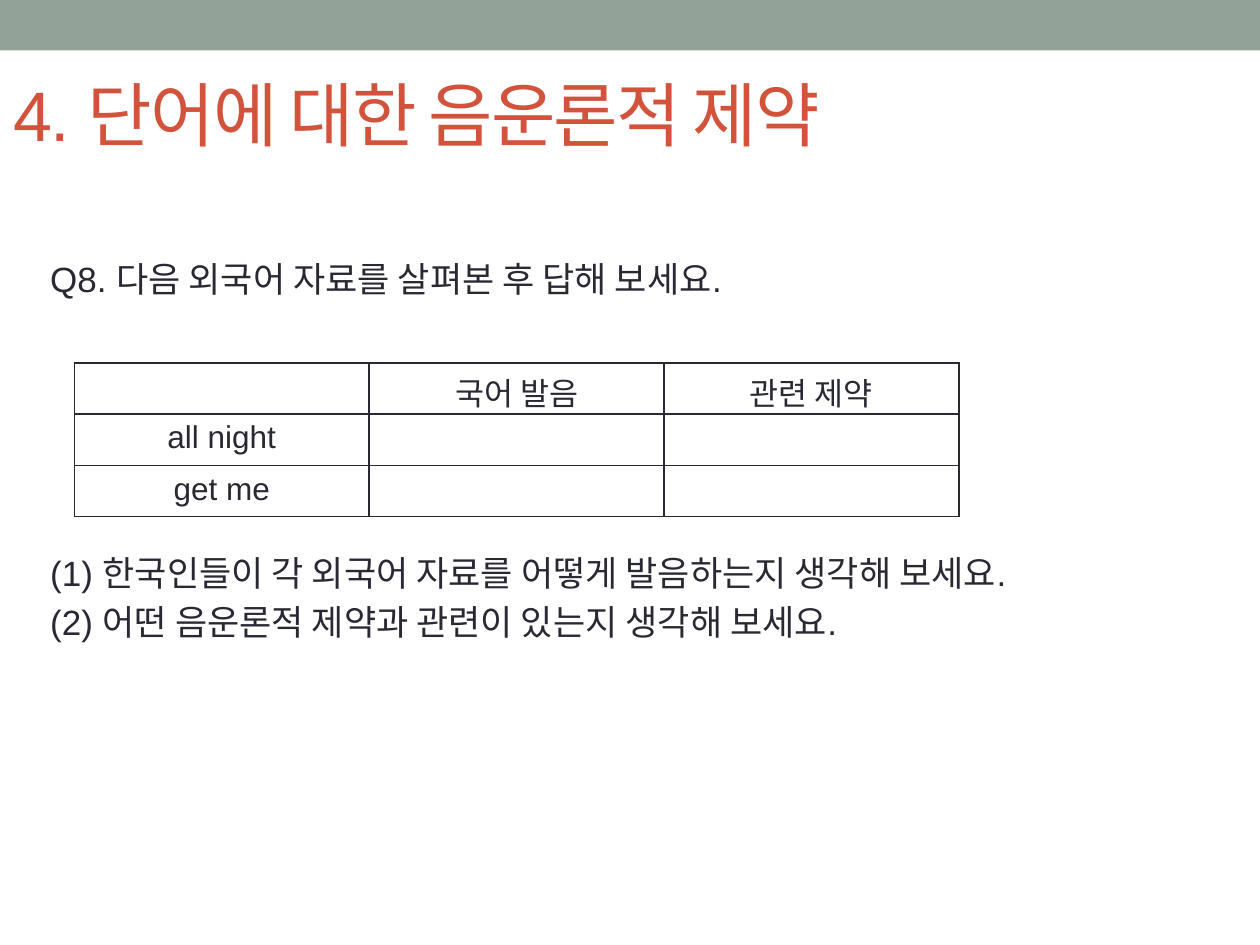
from lxml.etree import SubElement
from pptx import Presentation
from pptx.dml.color import RGBColor
from pptx.enum.shapes import MSO_SHAPE as Shape
from pptx.enum.text import MSO_ANCHOR as Anchor, PP_ALIGN as Align
from pptx.oxml.ns import qn
from pptx.util import Inches, Pt

COLORS = {"band": "93A299", "title": "D2533C", "ink": "292934"}
TITLE = "4. 단어에 대한 음운론적 제약"
QUESTION = ["Q8. 다음 외국어 자료를 살펴본 후 답해 보세요."]
TASKS = [
    "(1) 한국인들이 각 외국어 자료를 어떻게 발음하는지 생각해 보세요.",
    "(2) 어떤 음운론적 제약과 관련이 있는지 생각해 보세요.",
]
ROWS = [
    ["", "국어 발음", "관련 제약"],
    ["all night", "", ""],
    ["get me", "", ""],
]


def rgb(name):
    """Return the named colour."""
    return RGBColor.from_string(COLORS[name])


def style_font(font, size, color):
    """Apply the slide's typeface with a size and a colour."""
    for attribute, value in {"name": "Arial", "size": Pt(size)}.items():
        setattr(font, attribute, value)
    font.color.rgb = rgb(color)


def add_band(slide, left, top, width, height):
    """Draw the plain band along the top edge."""
    band = slide.shapes.add_shape(Shape.RECTANGLE, left, top, width, height)
    band.shadow.inherit = False
    band.fill.solid()
    band.fill.fore_color.rgb = rgb("band")
    band.line.fill.background()


def add_lines(slide, left, top, width, height, lines, size=20, color="ink",
              frame_format=None, line_spacing=None, tracking=None):
    """Write one paragraph per line in the given box."""
    frame = slide.shapes.add_textbox(left, top, width, height).text_frame
    for attribute, value in {"word_wrap": True, **(frame_format or {})}.items():
        setattr(frame, attribute, value)
    frame.text = "\n".join(lines)
    for paragraph in frame.paragraphs:
        paragraph.line_spacing = line_spacing
        for run in paragraph.runs:
            style_font(run.font, size, color)
            if tracking is not None:
                run.font._element.set("spc", str(tracking))


def add_borders(cell):
    """Rule all four sides of a cell."""
    properties = cell._tc.get_or_add_tcPr()
    for index, side in enumerate(("lnL", "lnR", "lnT", "lnB")):
        border = SubElement(properties, qn(f"a:{side}"), w=str(Pt(1)))
        properties.insert(index, border)
        fill = SubElement(border, qn("a:solidFill"))
        SubElement(fill, qn("a:srgbClr"), val=COLORS["ink"])


def add_sound_table(slide, left, top, width, height):
    """Build the ruled answer table with equal columns and rows."""
    table = slide.shapes.add_table(
        len(ROWS), len(ROWS[0]), left, top, width, height).table
    for option in ("first_row", "horz_banding"):
        setattr(table, option, False)
    for row, entries in enumerate(ROWS):
        for column, entry in enumerate(entries):
            cell = table.cell(row, column)
            cell.text = entry
            cell.fill.background()
            add_borders(cell)
            paragraph = cell.text_frame.paragraphs[0]
            paragraph.alignment = Align.CENTER
            style_font(paragraph.font, 18, "ink")
            for run in paragraph.runs:
                style_font(run.font, 18, "ink")


def build_question_slide(deck):
    """Place the band, title, question, table and tasks."""
    slide = deck.slides.add_slide(deck.slide_layouts[6])
    width = deck.slide_width
    add_band(slide, 0, 0, width, Inches(0.4))
    add_lines(slide, Inches(0.01), Inches(0.36), Inches(9), Inches(1.08),
              [TITLE], size=40, color="title", tracking=-100,
              frame_format={"vertical_anchor": Anchor.MIDDLE})
    indent = Inches(0.3)
    for top, height, lines in ((1.94, 0.5, QUESTION), (4.27, 0.9, TASKS)):
        add_lines(slide, indent, Inches(top), width - indent, Inches(height),
                  lines, line_spacing=Pt(28))
    add_sound_table(slide, Inches(0.59), Inches(2.88), Inches(7.02), Inches(1.22))


deck = Presentation()
deck.slide_width, deck.slide_height = Inches(10), Inches(7.5)
build_question_slide(deck)
deck.save("out.pptx")
